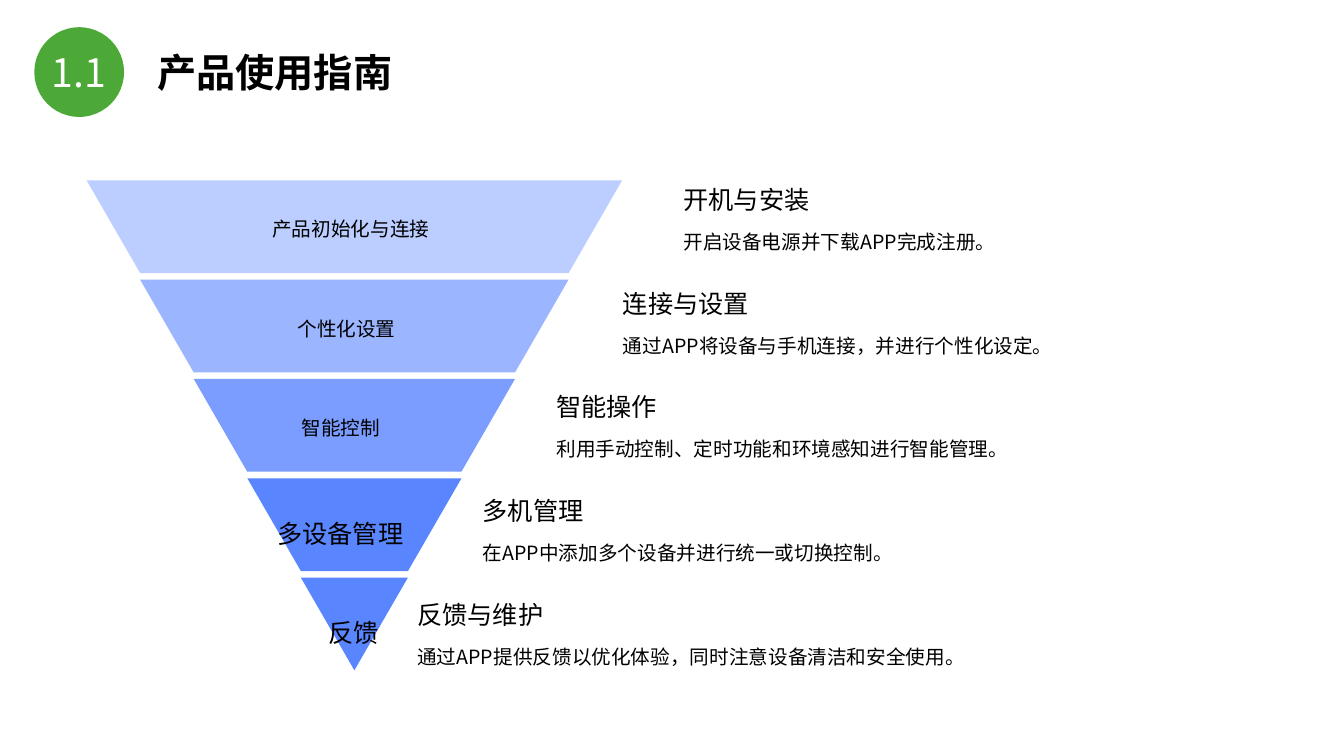
from lxml import etree
from pptx import Presentation
from pptx import util as u
from pptx.dml.color import RGBColor
from pptx.enum import shapes, text
from pptx.oxml.ns import qn

FONT = "Noto Sans CJK SC"
BLUE, GREEN, BLACK, WHITE = "5985FF", "4DA937", "000000", "FFFFFF"

# Band label, size, box left, box width, indent, opacity %, heading, detail, detail left
STEPS = [
    ("产品初始化与连接", 14, 2.39, 2.24, 0.21, 40, "开机与安装",
     "开启设备电源并下载APP完成注册。", 6.68),
    ("个性化设置", 14, 2.59, 2.24, 0.26, 60, "连接与设置",
     "通过APP将设备与手机连接，并进行个性化设定。", 6.08),
    ("智能控制", 14, 2.59, 2.24, 0.3, 80, "智能操作",
     "利用手动控制、定时功能和环境感知进行智能管理。", 5.42),
    ("多设备管理", 18, 2.39, 2.24, 0.26, 100, "多机管理",
     "在APP中添加多个设备并进行统一或切换控制。", 4.69),
    ("反馈", 18, 2.99, 1.44, 0.17, 100, "反馈与维护",
     "通过APP提供反馈以优化体验，同时注意设备清洁和安全使用。", 4.04),
]


def color(value):
    return RGBColor.from_string(value)


def paint(shape, fill, opacity=100):
    shape.shadow.inherit = False
    shape.line.fill.background()
    shape.fill.solid()
    shape.fill.fore_color.rgb = color(fill)
    if opacity < 100:
        srgb = shape.fill._xPr.find(".//" + qn("a:srgbClr"))
        etree.SubElement(srgb, qn("a:alpha")).set("val", str(opacity * 1000))


def write(frame, words, size, ink=BLACK, bold=False, spacing=1.0,
          align=text.PP_ALIGN.LEFT, anchor=text.MSO_ANCHOR.TOP):
    frame.word_wrap = True
    frame.vertical_anchor = anchor
    paragraph = frame.paragraphs[0]
    paragraph.alignment = align
    paragraph.line_spacing = spacing
    run = paragraph.add_run()
    run.text = words
    run.font.size = u.Pt(size)
    run.font.bold = bold
    run.font.name = FONT
    run.font.color.rgb = color(ink)
    etree.SubElement(run.font._element, qn("a:ea")).set("typeface", FONT)


def add_text(slide, left, top, width, height, words, size, indent=0, **style):
    box = slide.shapes.add_textbox(*map(u.Inches, (left, top, width, height)))
    box.text_frame.margin_left = u.Inches(0.1 + indent)
    write(box.text_frame, words, size, **style)


def add_header(slide, left, top, diameter):
    title = slide.shapes.title
    title.left, title.top = u.Inches(left + 1.15), u.Inches(top + 0.17)
    title.width, title.height = u.Inches(2.94), u.Inches(0.55)
    frame = title.text_frame
    frame.margin_left = frame.margin_right = u.Inches(0.07)
    frame.margin_top = frame.margin_bottom = u.Inches(0.04)
    write(frame, "产品使用指南", 28, bold=True, anchor=text.MSO_ANCHOR.MIDDLE)

    badge = slide.shapes.add_shape(
        shapes.MSO_SHAPE.OVAL, *map(u.Inches, (left, top, diameter, diameter)))
    paint(badge, GREEN)
    add_text(slide, left - 0.05, top + 0.16, diameter + 0.09, 0.57, "1.1", 28,
             ink=WHITE, align=text.PP_ALIGN.CENTER, anchor=text.MSO_ANCHOR.MIDDLE)


def add_funnel(slide, left, top, width, pitch=0.985, band_height=0.92):
    """Inverted pyramid whose bands narrow evenly down to a point."""
    inset = width / 2 / len(STEPS)
    for row, (label, size, label_left, label_width, indent, opacity, *_) in enumerate(STEPS):
        y = top + row * pitch
        x1, x2 = left + row * inset, left + width - row * inset
        corners = [(x2, y), (x2 - inset, y + band_height)]
        if row < len(STEPS) - 1:
            corners.append((x1 + inset, y + band_height))
        outline = slide.shapes.build_freeform(u.Inches(x1), u.Inches(y))
        outline.add_line_segments([(u.Inches(x), u.Inches(v)) for x, v in corners])
        paint(outline.convert_to_shape(), BLUE, opacity)
        add_text(slide, label_left, y + 0.2, label_width, 0.47, label, size,
                 indent=indent, spacing=1.5)


def add_details(slide, top, pitch=1.03):
    for row, (*_, heading, detail, left) in enumerate(STEPS):
        y = top + row * pitch
        add_text(slide, left, y, 2.63, 0.37, heading, 18, spacing=0.9,
                 anchor=text.MSO_ANCHOR.MIDDLE)
        add_text(slide, left, y + 0.35, 5.98, 0.44, detail, 14, spacing=1.3)


def main():
    deck = Presentation()
    deck.slide_width, deck.slide_height = u.Inches(13.33), u.Inches(7.5)
    slide = deck.slides.add_slide(deck.slide_layouts[5])
    add_header(slide, 0.34, 0.27, 0.89)
    add_funnel(slide, 0.86, 1.79, 5.31)
    add_details(slide, 1.81)
    deck.save("out.pptx")


if __name__ == "__main__":
    main()
